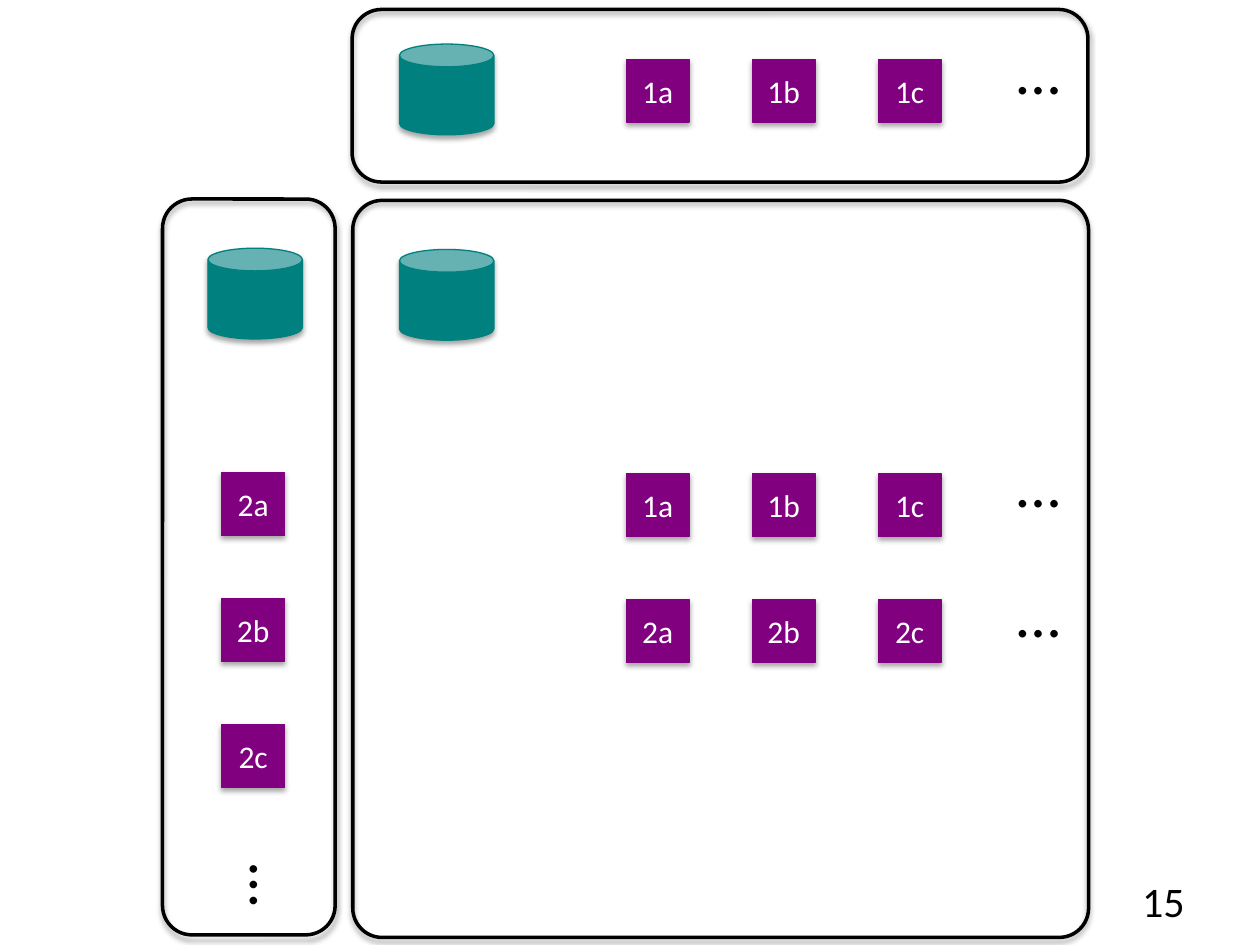
from dataclasses import dataclass

from lxml.etree import SubElement
from pptx import Presentation
from pptx.dml.color import RGBColor
from pptx.enum.shapes import MSO_SHAPE
from pptx.enum.text import MSO_ANCHOR, MSO_AUTO_SIZE, PP_ALIGN
from pptx.oxml.ns import qn
from pptx.shapes.autoshape import Shape
from pptx.shapes.shapetree import GroupShapes
from pptx.util import Inches, Pt

BLACK = RGBColor(0x00, 0x00, 0x00)
WHITE = RGBColor(0xFF, 0xFF, 0xFF)
TEAL = RGBColor(0x00, 0x80, 0x7F)
PURPLE = RGBColor(0x80, 0x00, 0x7F)
FONT = "Calibri"
PITCH = 1.0
TILE_SIZE = 0.5


@dataclass(frozen=True)
class Box:
    left: float
    top: float
    width: float
    height: float
    rotation: float = 0

    def lengths(self) -> list[int]:
        return [Inches(v) for v in (self.left, self.top, self.width, self.height)]


@dataclass(frozen=True)
class TileRun:
    labels: tuple[str, ...]
    left: float
    top: float
    ellipsis: Box
    vertical: bool = False


@dataclass(frozen=True)
class Store:
    frame: Box
    database: Box
    runs: tuple[TileRun, ...]
    corner: float = 0.17


def ellipsis_box(left: float, top: float, rotation: float = 0) -> Box:
    return Box(left, top, 0.68, 0.71, rotation)


def database_box(left: float, top: float) -> Box:
    return Box(left, top, 0.75, 0.72)


FIRST = ("1a", "1b", "1c")
SECOND = ("2a", "2b", "2c")
STORES = (
    Store(Box(5.03, -2.16, 1.37, 5.84, 270), database_box(3.17, 0.35),
          (TileRun(FIRST, 4.97, 0.47, ellipsis_box(7.97, 0.2)),)),
    Store(Box(1.29, 1.58, 1.37, 5.84), database_box(1.65, 1.97),
          (TileRun(SECOND, 1.76, 3.75, ellipsis_box(1.84, 6.74, 90), True),)),
    Store(Box(2.8, 1.59, 5.84, 5.85), database_box(3.17, 1.98),
          (TileRun(FIRST, 4.97, 3.76, ellipsis_box(7.97, 3.48)),
           TileRun(SECOND, 4.97, 4.76, ellipsis_box(7.97, 4.51))), 0.04),
)


def write_text(shape: Shape, text: str, *, size: float, color: RGBColor = BLACK,
               align: PP_ALIGN = PP_ALIGN.LEFT,
               anchor: MSO_ANCHOR = MSO_ANCHOR.TOP) -> None:
    frame = shape.text_frame
    frame.word_wrap = True
    frame.vertical_anchor = anchor
    paragraph = frame.paragraphs[0]
    paragraph.alignment = align
    run = paragraph.add_run()
    run.text = text
    run.font.name = FONT
    run.font.size = Pt(size)
    run.font.color.rgb = color


def add_soft_shadow(shape: Shape) -> None:
    shape.shadow.inherit = False
    effects = shape.element.spPr.find(qn("a:effectLst"))
    shadow = SubElement(effects, qn("a:outerShdw"), blurRad=str(Pt(3.1)),
                        dist=str(Pt(1.8)), dir="5400000", rotWithShape="0")
    color = SubElement(shadow, qn("a:srgbClr"), val=str(BLACK))
    SubElement(color, qn("a:alpha"), val="35000")


def add_solid(shapes: GroupShapes, kind: MSO_SHAPE, box: Box, color: RGBColor) -> Shape:
    solid = shapes.add_shape(kind, *box.lengths())
    solid.fill.solid()
    solid.fill.fore_color.rgb = color
    solid.line.color.rgb = color
    solid.line.width = Pt(0.75)
    add_soft_shadow(solid)
    return solid


def add_frame(shapes: GroupShapes, box: Box, corner: float) -> None:
    frame = shapes.add_shape(MSO_SHAPE.ROUNDED_RECTANGLE, *box.lengths())
    frame.rotation = box.rotation
    frame.adjustments[0] = corner
    frame.fill.background()
    frame.line.color.rgb = BLACK
    frame.line.width = Pt(2)
    add_soft_shadow(frame)


def add_tile_run(shapes: GroupShapes, run: TileRun) -> None:
    for index, label in enumerate(run.labels):
        offset = index * PITCH
        left = run.left if run.vertical else run.left + offset
        top = run.top + offset if run.vertical else run.top
        tile = add_solid(shapes, MSO_SHAPE.RECTANGLE,
                         Box(left, top, TILE_SIZE, TILE_SIZE), PURPLE)
        write_text(tile, label, size=18, color=WHITE,
                   align=PP_ALIGN.CENTER, anchor=MSO_ANCHOR.MIDDLE)
    ellipsis = shapes.add_textbox(*run.ellipsis.lengths())
    ellipsis.rotation = run.ellipsis.rotation
    write_text(ellipsis, "…", size=36)
    ellipsis.text_frame.auto_size = MSO_AUTO_SIZE.SHAPE_TO_FIT_TEXT


def main() -> None:
    presentation = Presentation()
    presentation.slide_width = Inches(10)
    presentation.slide_height = Inches(7.5)
    slide = presentation.slides.add_slide(presentation.slide_layouts[6])
    page_number = slide.shapes.add_textbox(*Box(7.17, 6.95, 2.33, 0.4).lengths())
    write_text(page_number, "15", size=24, align=PP_ALIGN.RIGHT,
               anchor=MSO_ANCHOR.MIDDLE)
    for store in STORES:
        shapes = slide.shapes.add_group_shape().shapes
        add_frame(shapes, store.frame, store.corner)
        add_solid(shapes, MSO_SHAPE.CAN, store.database, TEAL)
        for run in store.runs:
            add_tile_run(shapes, run)
    presentation.save("out.pptx")


if __name__ == "__main__":
    main()
